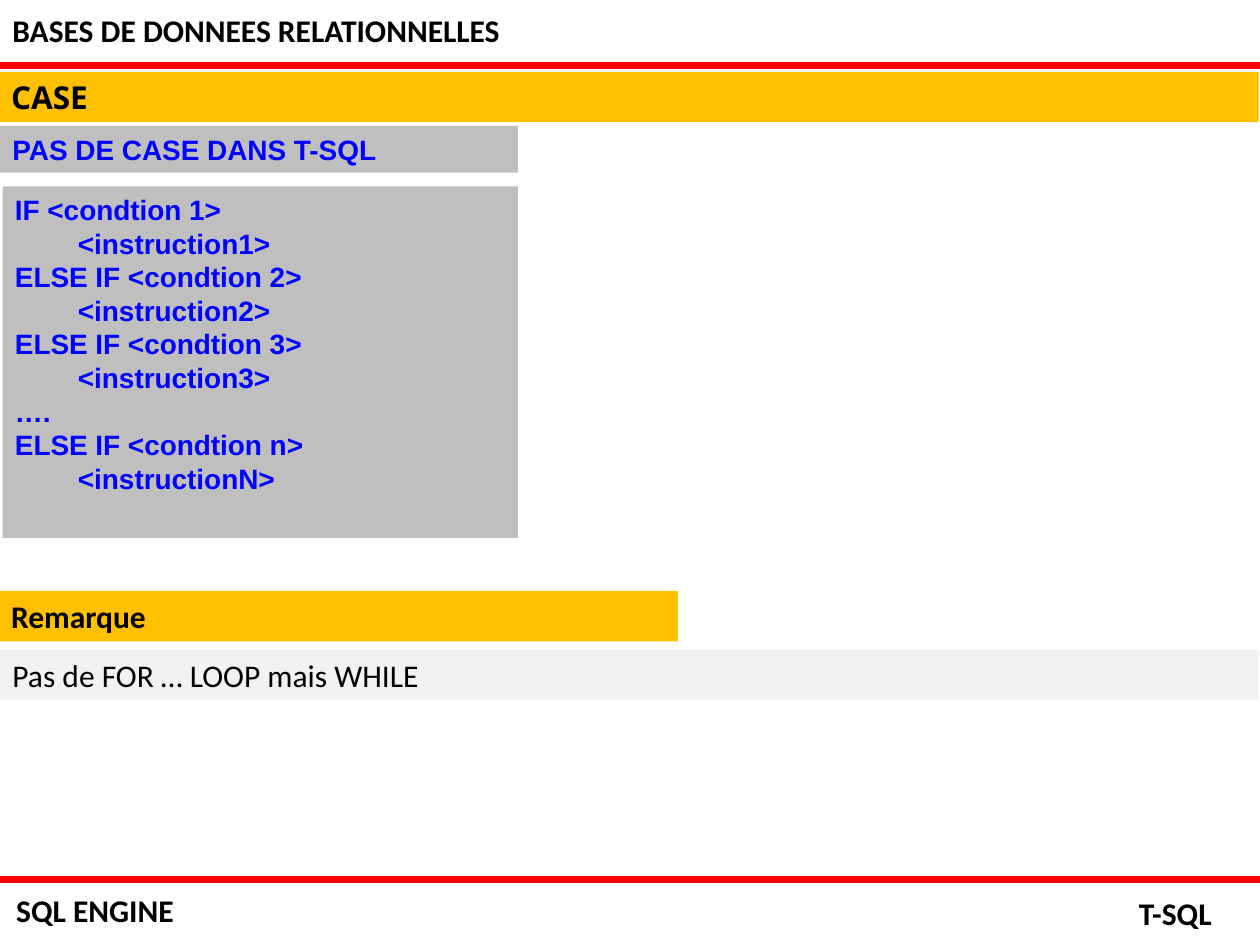
from dataclasses import dataclass

from lxml.etree import SubElement
from pptx import Presentation
from pptx.dml.color import RGBColor
from pptx.enum.shapes import MSO_CONNECTOR, MSO_SHAPE
from pptx.enum.text import MSO_ANCHOR, PP_ALIGN
from pptx.oxml.ns import qn
from pptx.slide import Slide
from pptx.text.text import TextFrame
from pptx.util import Inches, Pt


@dataclass(frozen=True)
class Style:
    font: str
    size: int
    color: str
    bold: bool = True


@dataclass(frozen=True)
class Theme:
    red: str = "FF0000"
    gold: str = "FFC000"
    gray: str = "BFBFBF"
    pale: str = "F2F2F2"
    rule: float = 4.5
    head: Style = Style("Calibri", 18, "000000")
    title: Style = Style("Open Sans", 18, "000000")
    body: Style = Style("Calibri", 18, "000000", False)
    code: Style = Style("Arial", 16, "0101FD")


@dataclass(frozen=True)
class Label:
    left: float
    top: float
    width: float
    text: str
    height: float = 0.4


@dataclass(frozen=True)
class Band(Label):
    fill: str = "FFFFFF"
    style: Style = Style("Calibri", 18, "000000")


THEME = Theme()
WIDTH = 10
RULES = (0.52, 6.98)

LABELS = (
    Label(0, 0.04, 4.11, "BASES DE DONNEES RELATIONNELLES"),
    Label(0.03, 7.02, 1.45, "SQL ENGINE"),
    Label(8.94, 7.05, 0.8, "T-SQL"),
)

CASES = "\n".join((
    "IF <condtion 1>",
    "\t<instruction1>",
    "ELSE IF <condtion 2>",
    "\t<instruction2>",
    "ELSE IF <condtion 3>",
    "\t<instruction3>",
    "….",
    "ELSE IF <condtion n>",
    "\t<instructionN>",
))

BANDS = (
    Band(0, 1, 4.11, "PAS DE CASE DANS T-SQL", 0.37, THEME.gray, THEME.code),
    Band(-0.01, 4.69, 5.39, "Remarque", fill=THEME.gold, style=THEME.head),
    Band(-0.01, 0.57, 10, "CASE", fill=THEME.gold, style=THEME.title),
    Band(0.02, 1.48, 4.09, CASES, 2.79, THEME.gray, THEME.code),
    Band(0, 5.16, 9.99, "Pas de FOR … LOOP mais WHILE",
         fill=THEME.pale, style=THEME.body),
)


def place(item: Label) -> tuple:
    return tuple(map(Inches, (item.left, item.top, item.width, item.height)))


def write(frame: TextFrame, text: str, style: Style) -> None:
    frame.text = text
    frame.vertical_anchor = MSO_ANCHOR.TOP
    for line in frame.paragraphs:
        line.alignment = PP_ALIGN.LEFT
        font = line.font
        font.name = style.font
        font.size = Pt(style.size)
        font.bold = style.bold
        font.color.rgb = RGBColor.from_string(style.color)


def add_rule(slide: Slide, top: float) -> None:
    rule = slide.shapes.add_connector(
        MSO_CONNECTOR.STRAIGHT, 0, Inches(top), Inches(WIDTH), Inches(top))
    rule.line.color.rgb = RGBColor.from_string(THEME.red)
    rule.line.width = Pt(THEME.rule)
    SubElement(rule._element.spPr, qn("a:effectLst"))


def add_label(slide: Slide, label: Label) -> None:
    box = slide.shapes.add_textbox(*place(label))
    box.text_frame.word_wrap = False
    write(box.text_frame, label.text, THEME.head)


def add_band(slide: Slide, band: Band) -> None:
    shape = slide.shapes.add_shape(MSO_SHAPE.RECTANGLE, *place(band))
    shape.shadow.inherit = False
    shape.fill.solid()
    shape.fill.fore_color.rgb = RGBColor.from_string(band.fill)
    shape.line.fill.background()
    shape.text_frame.word_wrap = True
    write(shape.text_frame, band.text, band.style)


def main() -> None:
    deck = Presentation()
    deck.slide_width = Inches(WIDTH)
    deck.slide_height = Inches(7.5)
    slide = deck.slides.add_slide(deck.slide_layouts[6])
    for top in RULES:
        add_rule(slide, top)
    for label in LABELS:
        add_label(slide, label)
    for band in BANDS:
        add_band(slide, band)
    deck.save("out.pptx")


if __name__ == "__main__":
    main()
